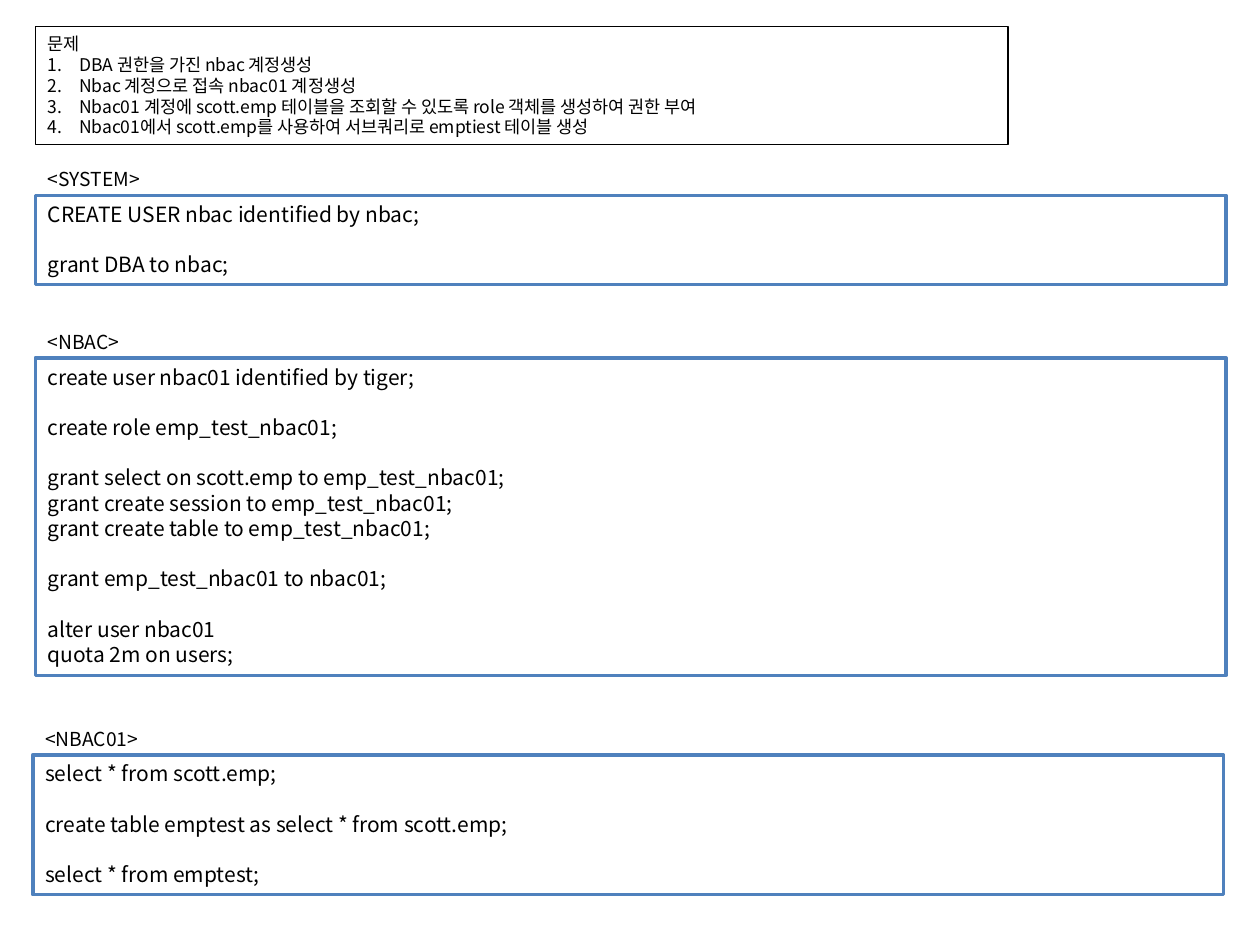
import dataclasses
import lxml.etree
import pptx
import pptx.dml.color
import pptx.enum.shapes
import pptx.enum.text
import pptx.oxml.ns
import pptx.util


@dataclasses.dataclass
class Theme:
    font: str = "Noto Sans CJK KR"
    ink: str = "000000"
    paper: str = "FFFFFF"
    edge: str = "4F81BD"
    task: int = 10
    label: int = 11
    code: int = 12


theme = Theme()
Inches = pptx.util.Inches
Pt = pptx.util.Pt
RGB = pptx.dml.color.RGBColor.from_string
qn = pptx.oxml.ns.qn


def write(shape, groups, size, wrap=True):
    frame = shape.text_frame
    frame.word_wrap = wrap
    frame.auto_size = pptx.enum.text.MSO_AUTO_SIZE.SHAPE_TO_FIT_TEXT
    frame.vertical_anchor = pptx.enum.text.MSO_ANCHOR.TOP
    frame.text = "\n".join(line for group in groups for line in group)
    starts = [sum(map(len, groups[:i])) for i in range(1, len(groups))]
    for i, para in enumerate(frame.paragraphs):
        para.alignment = pptx.enum.text.PP_ALIGN.LEFT
        para.line_spacing = Pt(size * 1.2)
        if i in starts:
            para.space_before = Pt(size * 1.2)
        para.font.size = Pt(size)
        para.font.name = theme.font
        para.font.color.rgb = RGB(theme.ink)
        props = para._p.pPr.find(qn("a:defRPr"))
        lxml.etree.SubElement(props, qn("a:ea")).set("typeface", theme.font)


def panel(left, top, width, height, edge, weight):
    box = slide.shapes.add_shape(
        pptx.enum.shapes.MSO_SHAPE.RECTANGLE,
        Inches(left), Inches(top), Inches(width), Inches(height))
    box.shadow.inherit = False
    box.fill.solid()
    box.fill.fore_color.rgb = RGB(theme.paper)
    box.line.color.rgb = RGB(edge)
    box.line.width = Pt(weight)
    return box


deck = pptx.Presentation()
deck.slide_width = Inches(10)
deck.slide_height = Inches(7.5)
slide = deck.slides.add_slide(deck.slide_layouts[6])

tasks = [
    "문제",
    "DBA 권한을 가진 nbac 계정생성",
    "Nbac 계정으로 접속 nbac01 계정생성",
    "Nbac01 계정에 scott.emp 테이블을 조회할 수 있도록 role 객체를 생성하여 권한 부여",
    "Nbac01에서 scott.emp를 사용하여 서브쿼리로 emptiest 테이블 생성",
]
box = panel(0.28, 0.21, 7.72, 0.94, theme.ink, 0.75)
write(box, [tasks], theme.task)
for para in box.text_frame.paragraphs[1:]:
    props = para._p.pPr
    props.set("marL", str(Inches(0.25)))
    props.set("indent", str(-Inches(0.25)))
    mark = lxml.etree.Element(qn("a:buAutoNum"), type="arabicPeriod")
    props.find(qn("a:defRPr")).addprevious(mark)

steps = [
    ("<SYSTEM>", 0.28, 1.55, 0.98, 0.71, [
        ["CREATE USER nbac identified by nbac;"],
        ["grant DBA to nbac;"],
    ]),
    ("<NBAC>", 0.28, 2.84, 0.83, 2.52, [
        ["create user nbac01 identified by tiger;"],
        ["create role emp_test_nbac01;"],
        ["grant select on scott.emp to emp_test_nbac01;",
         "grant create session to emp_test_nbac01;",
         "grant create table to emp_test_nbac01;"],
        ["grant emp_test_nbac01 to nbac01;"],
        ["alter user nbac01", "quota 2m on users;"],
    ]),
    ("<NBAC01>", 0.26, 5.99, 0.99, 1.11, [
        ["select * from scott.emp;"],
        ["create table emptest as select * from scott.emp;"],
        ["select * from emptest;"],
    ]),
]
for name, left, top, width, height, code in steps:
    write(panel(left, top, 9.45, height, theme.edge, 2), code, theme.code)
    label = slide.shapes.add_textbox(
        Inches(left), Inches(top - 0.27), Inches(width), Inches(0.29))
    write(label, [[name]], theme.label, wrap=False)

deck.save("out.pptx")
